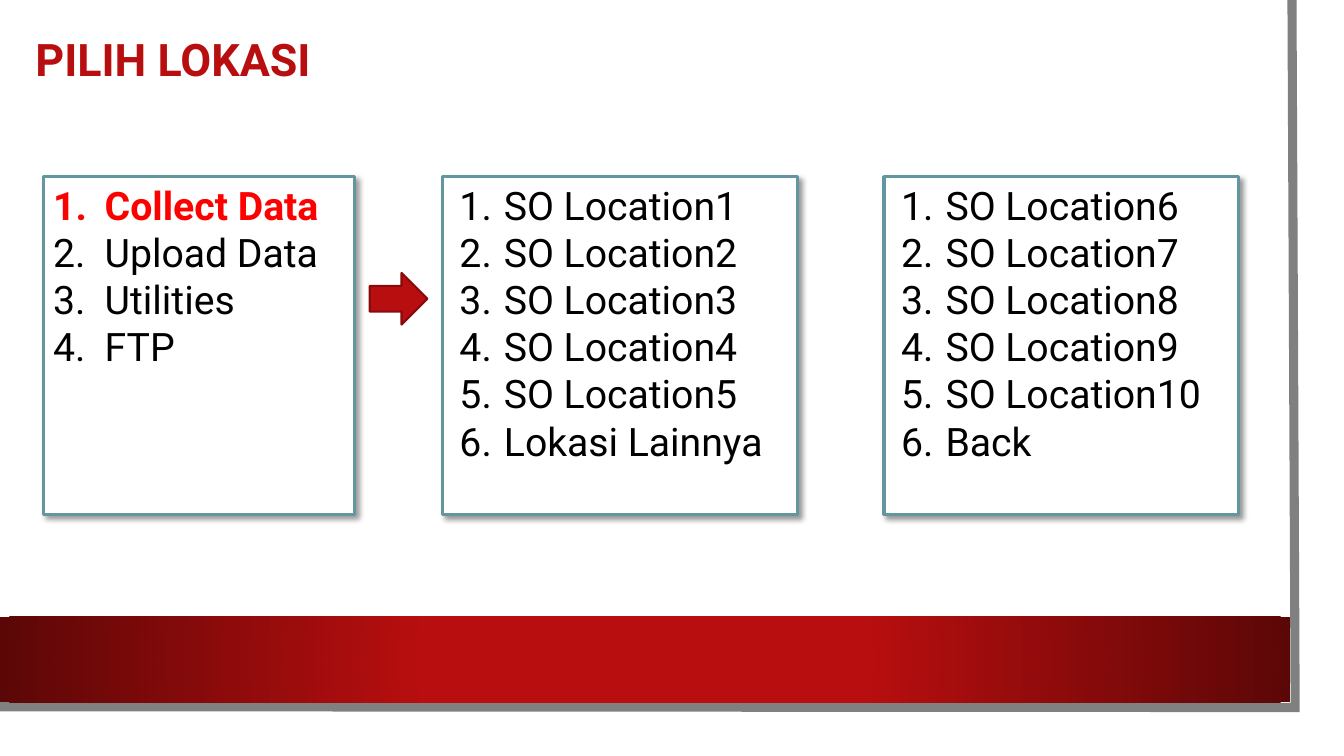
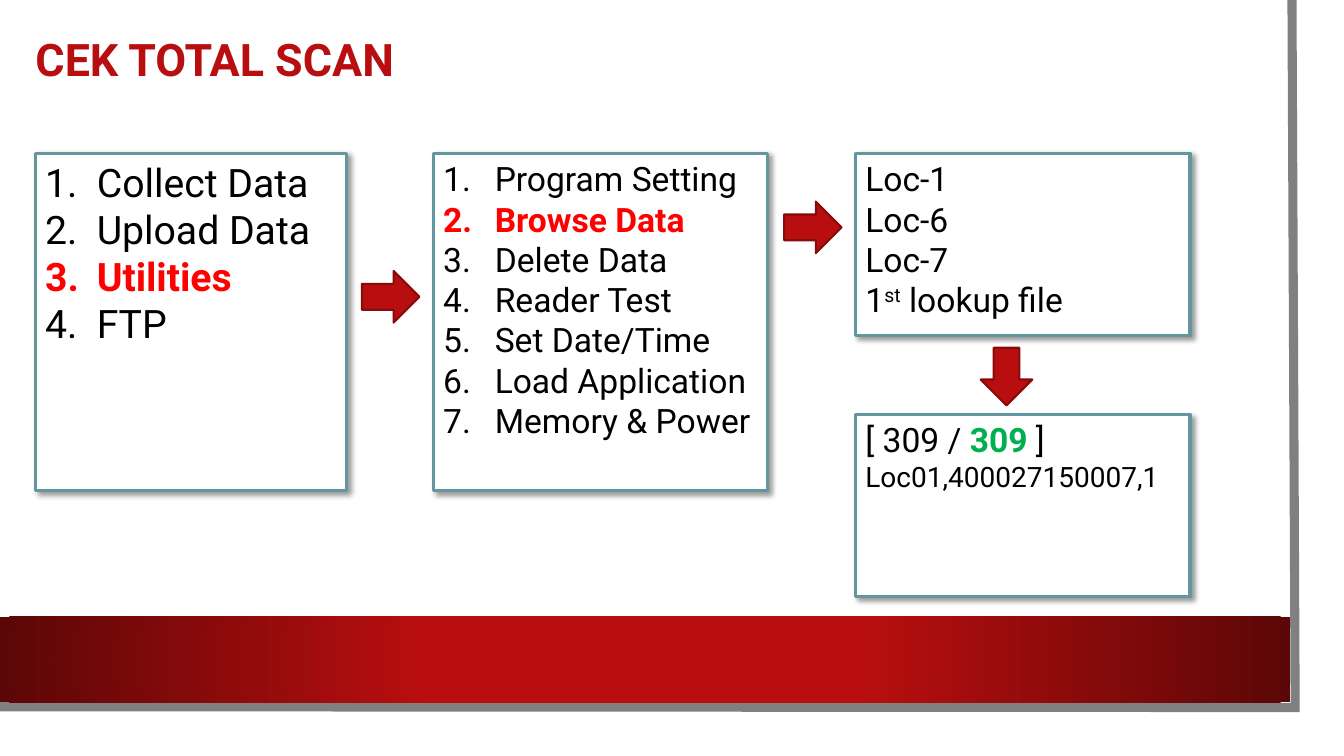
import pptx
import pptx.util
from lxml import etree
from pptx.dml.color import RGBColor
from pptx.enum.shapes import MSO_SHAPE
from pptx.enum.text import MSO_ANCHOR, PP_ALIGN
from pptx.oxml import parse_xml
from pptx.oxml.ns import nsdecls, qn
from pptx.util import Cm, Pt

FONT = "Roboto"
RED = RGBColor(0xB8, 0x0E, 0x0F)
DARK_RED = RGBColor(0x5C, 0x07, 0x07)
ARROW_LINE = RGBColor(0x88, 0x0A, 0x0B)
TEAL = RGBColor(0x64, 0x96, 0x9F)
GREY = RGBColor(0x80, 0x80, 0x80)
ACTIVE = RGBColor(0xFF, 0x00, 0x00)
GREEN = RGBColor(0x00, 0xB0, 0x50)
BLACK = RGBColor(0x00, 0x00, 0x00)
WHITE = RGBColor(0xFF, 0xFF, 0xFF)

PANEL_H = 8.51
HALF_PANEL_H = 4.6
MENU_W = 7.85


def set_font(font, size, color=BLACK, bold=False):
    font.name = FONT
    font.size = Pt(size)
    font.bold = bold
    font.color.rgb = color


def add_frame(s):
    """Draw the grey edge along the right and bottom of the page."""
    builder = s.shapes.build_freeform(Cm(32.56), 0)
    corners = [(Cm(32.64), Cm(17.83)), (Cm(-0.08), Cm(17.81))]
    builder.add_line_segments(corners, close=False)
    frame = builder.convert_to_shape()
    frame.shadow.inherit = False
    frame.fill.background()
    frame.line.color.rgb = GREY
    frame.line.width = Pt(6.5)
    etree.SubElement(frame.line._get_or_add_ln(), qn("a:miter"), lim="800000")
    return frame


def add_band(s):
    """Draw the bottom band, bright in the middle and dark at the ends."""
    band = s.shapes.add_shape(MSO_SHAPE.RECTANGLE, 0, Cm(15.54), Cm(32.51), Cm(2.16))
    band.shadow.inherit = False
    band.line.fill.background()
    band.fill.gradient()
    stops = zip(band.fill.gradient_stops, [(0.34, RED), (1, DARK_RED)])
    for stop, (position, color) in stops:
        stop.position = position
        stop.color.rgb = color
    lin = band.element.find(".//" + qn("a:lin"))
    lin.getparent().replace(lin, parse_xml(
        f'<a:path {nsdecls("a")} path="circle">'
        '<a:fillToRect l="50000" t="50000" r="50000" b="50000"/></a:path>'))
    return band


def decorate_layout(layout, s):
    """Draw the shared decoration on s, then move it behind the layout's placeholders."""
    for i, shape in enumerate([add_frame(s), add_band(s)]):
        layout.element.cSld.spTree.insert(2 + i, shape.element)


def add_slide(prs, layout, title):
    s = prs.slides.add_slide(layout)
    box = s.shapes.title
    box.left, box.top, box.width, box.height = Cm(0.64), Cm(0.56), Cm(29.21), Cm(1.98)
    tf = box.text_frame
    tf.text = title
    tf.vertical_anchor = MSO_ANCHOR.MIDDLE
    p = tf.paragraphs[0]
    p.alignment = PP_ALIGN.LEFT
    p.line_spacing = 0.9
    set_font(p.font, 32, RED, True)
    return s


def add_panel(s, x, y, w, h):
    """Add an empty bordered panel and return its text frame."""
    panel = s.shapes.add_shape(MSO_SHAPE.RECTANGLE, Cm(x), Cm(y), Cm(w), Cm(h))
    panel.fill.solid()
    panel.fill.fore_color.rgb = WHITE
    panel.line.color.rgb = TEAL
    panel.line.width = Pt(2.25)
    panel.shadow.inherit = False
    panel.element.spPr.find(qn("a:effectLst")).append(parse_xml(
        f'<a:outerShdw {nsdecls("a")} blurRad="{Pt(4)}" dist="{Pt(3)}" dir="2700000">'
        '<a:srgbClr val="000000"><a:alpha val="40000"/></a:srgbClr></a:outerShdw>'))
    tf = panel.text_frame
    tf.word_wrap = True
    tf.vertical_anchor = MSO_ANCHOR.TOP
    return tf


def add_lines(tf, lines, size):
    """Write one paragraph per line and return the paragraphs."""
    tf.text = "\n".join(lines)
    for p in tf.paragraphs:
        p.alignment = PP_ALIGN.LEFT
        set_font(p.font, size)
    return tf.paragraphs


def add_menu(s, x, y, w, items, active=None, size=28, hang=1.3):
    """Add a panel with a numbered list; the active item is bold red."""
    tf = add_panel(s, x, y, w, PANEL_H)
    for p, item in zip(add_lines(tf, items, size), items):
        if item == active:
            set_font(p.font, size, ACTIVE, True)
        pPr = p._p.get_or_add_pPr()
        pPr.set("marL", str(Cm(1.3)))
        pPr.set("indent", str(-Cm(hang)))
        numbering = parse_xml(f'<a:buAutoNum {nsdecls("a")} type="arabicPeriod"/>')
        pPr.find(qn("a:defRPr")).addprevious(numbering)


def add_arrow(s, x, y, rotation=0):
    arrow = s.shapes.add_shape(MSO_SHAPE.RIGHT_ARROW, Cm(x), Cm(y), Cm(1.45), Cm(1.3))
    arrow.rotation = rotation
    arrow.shadow.inherit = False
    arrow.fill.solid()
    arrow.fill.fore_color.rgb = RED
    arrow.line.color.rgb = ARROW_LINE
    arrow.line.width = Pt(1.5)


def add_run(p, text):
    r = p.add_run()
    r.text = text
    return r


def build_location_slide(s, main_menu):
    top, location_w = 4.45, 8.94
    add_menu(s, 1.09, top, MENU_W, main_menu, "Collect Data")
    for x, first, last_item in [(11.15, 1, "Lokasi Lainnya"), (22.28, 6, "Back")]:
        items = [f"SO Location{n}" for n in range(first, first + 5)] + [last_item]
        add_menu(s, x, top, location_w, items, hang=1.12)
    add_arrow(s, 9.32, 6.88)


def build_scan_slide(s, main_menu):
    top, panel_w, result_x = 3.86, 8.43, 21.56
    add_menu(s, 0.89, top, MENU_W, main_menu, "Utilities")
    utilities = ["Program Setting", "Browse Data", "Delete Data", "Reader Test",
                 "Set Date/Time", "Load Application", "Memory & Power"]
    add_menu(s, 10.92, top, panel_w, utilities, "Browse Data", size=24)

    tf = add_panel(s, result_x, top, panel_w, HALF_PANEL_H)
    p = add_lines(tf, ["Loc-1", "Loc-6", "Loc-7", "1"], 24)[-1]
    add_run(p, "st")._r.get_or_add_rPr().set("baseline", "30000")
    add_run(p, " lookup file")

    tf = add_panel(s, result_x, 10.44, panel_w, HALF_PANEL_H)
    count, record = add_lines(tf, ["[ 309 / ", "Loc01,400027150007,1"], 24)
    r = add_run(count, "309")
    r.font.bold = True
    r.font.color.rgb = GREEN
    add_run(count, " ]")
    record.font.size = Pt(20)

    add_arrow(s, 9.12, 6.83)
    add_arrow(s, 19.76, 5.08)
    add_arrow(s, 24.64, 8.84, rotation=90)


def main():
    prs = pptx.Presentation()
    prs.slide_width, prs.slide_height = Cm(33.87), Cm(19.05)
    layout = prs.slide_layouts.get_by_name("Title Only")
    main_menu = ["Collect Data", "Upload Data", "Utilities", "FTP"]

    s = add_slide(prs, layout, "PILIH LOKASI")
    decorate_layout(layout, s)
    build_location_slide(s, main_menu)
    build_scan_slide(add_slide(prs, layout, "CEK TOTAL SCAN"), main_menu)
    prs.save("out.pptx")


if __name__ == "__main__":
    main()
